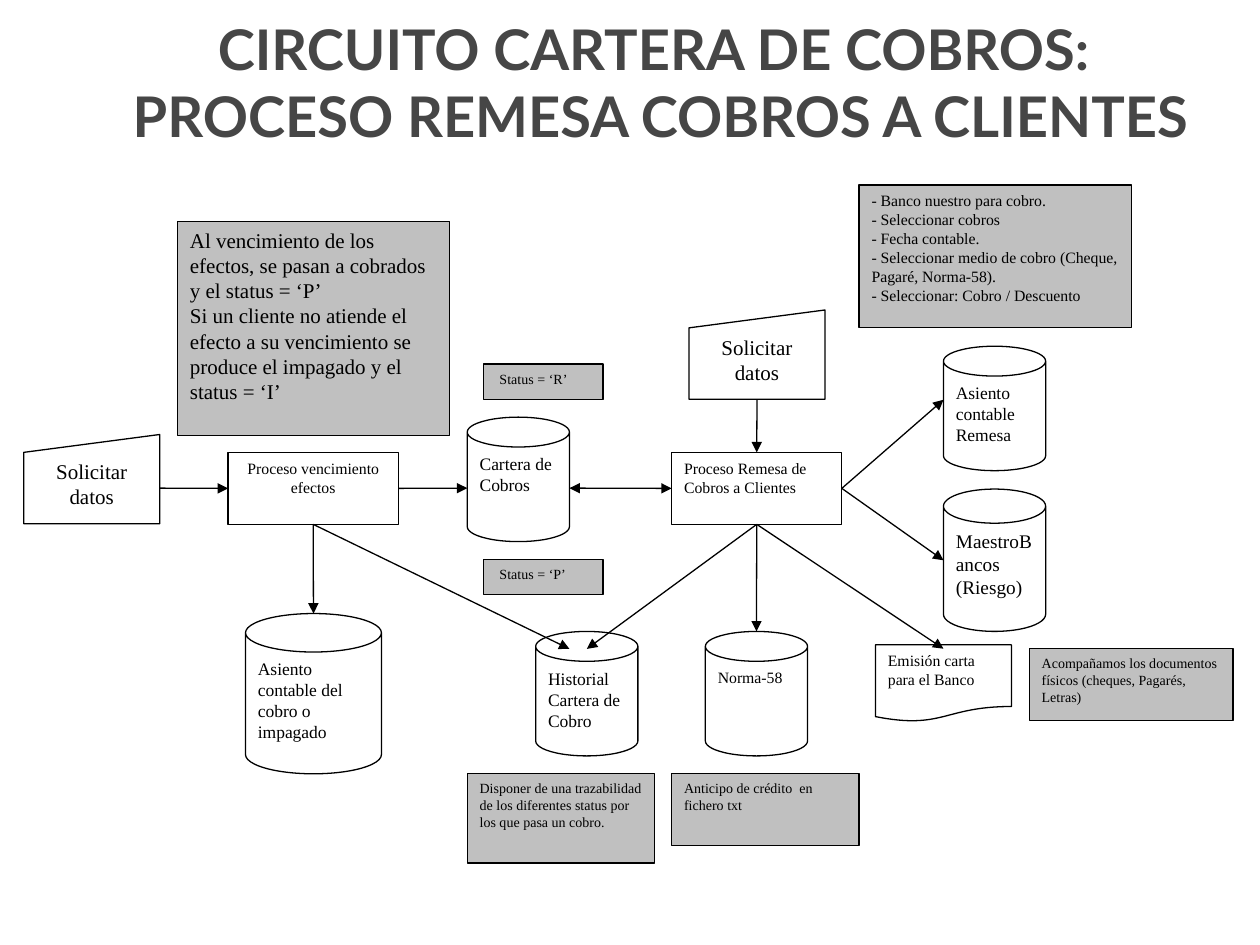
from dataclasses import dataclass

from lxml import etree
from pptx import Presentation
from pptx.dml.color import RGBColor
from pptx.enum.shapes import MSO_CONNECTOR, MSO_SHAPE
from pptx.enum.text import MSO_ANCHOR, PP_ALIGN
from pptx.oxml.ns import qn
from pptx.util import Cm, Pt

CAN = MSO_SHAPE.CAN
DOCUMENT = MSO_SHAPE.FLOWCHART_DOCUMENT
INPUT = MSO_SHAPE.FLOWCHART_MANUAL_INPUT
RECT = MSO_SHAPE.RECTANGLE
STRAIGHT = MSO_CONNECTOR.STRAIGHT
LEFT, CENTER = PP_ALIGN.LEFT, PP_ALIGN.CENTER
TOP, MIDDLE = MSO_ANCHOR.TOP, MSO_ANCHOR.MIDDLE
TOP_SITE, LEFT_SITE, BOTTOM_SITE, RIGHT_SITE = range(4)


@dataclass(frozen=True)
class Theme:
    title_font: str = "Lato"
    body_font: str = "Times New Roman"
    title_color: RGBColor = RGBColor(0x46, 0x46, 0x46)
    ink: RGBColor = RGBColor(0, 0, 0)
    paper: RGBColor = RGBColor(255, 255, 255)
    note: RGBColor = RGBColor(0xC0, 0xC0, 0xC0)
    title: Pt = Pt(32)
    large: Pt = Pt(12)
    bank: Pt = Pt(11)
    record: Pt = Pt(10)
    step: Pt = Pt(9)
    remark: Pt = Pt(8)
    line: Pt = Pt(0.75)


THEME = Theme()
STEP_SIZE = (3.43, 1.45)
INPUT_SIZE = (2.74, 1.8)
CAN_SIZE = (2.06, 2.51)
STATUS_SIZE = (2.41, 0.71)
GUIDE_WIDTH = 5.49
REMARK_WIDTH = 3.78
CAN_LID = 0.24


def style_text(frame, text, font, size, color, align, bold=False):
    frame.text = text
    for paragraph in frame.paragraphs:
        paragraph.alignment = align
        for run in paragraph.runs:
            run.font.name = font
            run.font.size = size
            run.font.bold = bold
            run.font.color.rgb = color


def add_block(slide, kind, box, offset, size, text, type_size, fill=THEME.paper, align=LEFT):
    left, top = (start + shift for start, shift in zip(box, offset))
    width, height = size
    block = slide.shapes.add_shape(kind, Cm(left), Cm(top), Cm(width), Cm(height))
    if kind == CAN:
        block.adjustments[0] = CAN_LID * height / width
    block.shadow.inherit = False
    block.fill.solid()
    block.fill.fore_color.rgb = fill
    block.line.color.rgb = THEME.ink
    block.line.width = THEME.line
    block.text_frame.word_wrap = True
    block.text_frame.vertical_anchor = TOP
    style_text(block.text_frame, text, THEME.body_font, type_size, THEME.ink, align)
    return block


def add_note(slide, box, offset, size, text, type_size=THEME.remark):
    return add_block(slide, RECT, box, offset, size, text, type_size, THEME.note)


def add_input(slide, box, offset):
    return add_block(slide, INPUT, box, offset, INPUT_SIZE, "Solicitar datos",
                     THEME.large, align=CENTER)


def point_on(block, across, down):
    return int(block.left + across * block.width), int(block.top + down * block.height)


def add_link(slide, process, site, point, inbound=False, both=False):
    link = slide.shapes.add_connector(STRAIGHT, *point, *point)
    if inbound:
        link.end_connect(process, site)
    else:
        link.begin_connect(process, site)
    link.line.color.rgb = THEME.ink
    link.line.width = THEME.line
    outline = link.line._get_or_add_ln()
    for end in ("a:headEnd", "a:tailEnd") if both else ("a:tailEnd",):
        etree.SubElement(outline, qn(end), type="triangle")
    etree.SubElement(link._element.spPr, qn("a:effectLst"))


def draw_title(slide, box):
    title = slide.shapes.title
    title.left, title.top, title.width, title.height = map(Cm, box)
    title.text_frame.word_wrap = True
    title.text_frame.vertical_anchor = MIDDLE
    style_text(title.text_frame,
               "CIRCUITO CARTERA DE COBROS: \nPROCESO REMESA COBROS A CLIENTES",
               THEME.title_font, THEME.title, THEME.title_color, CENTER, bold=True)
    for paragraph in title.text_frame.paragraphs:
        properties = paragraph._p.get_or_add_pPr()
        properties.set("marL", "0")
        properties.set("indent", str(Cm(1.24)))


def draw_maturity(slide, box):
    add_note(slide, box, (3.1, 0), (GUIDE_WIDTH, 4.32),
             "Al vencimiento de los efectos, se pasan a cobrados y el status = ‘P’\n"
             "Si un cliente no atiende el efecto a su vencimiento se\n"
             "produce el impagado y el status = ‘I’", THEME.large)
    request = add_input(slide, box, (0, 4.3))
    process = add_block(slide, RECT, box, (4.12, 4.66), STEP_SIZE,
                        "Proceso vencimiento efectos", THEME.step, align=CENTER)
    entry = add_block(slide, CAN, box, (4.47, 7.91), (2.74, 3.23),
                      "Asiento contable del cobro o impagado", THEME.record)
    add_link(slide, process, LEFT_SITE, point_on(request, 1, 0.6), inbound=True)
    add_link(slide, process, BOTTOM_SITE, point_on(entry, 0.5, 0))
    return process


def draw_portfolio(slide, box):
    for top, status in ((0, "R"), (3.94, "P")):
        add_note(slide, box, (0.33, top), STATUS_SIZE, f" Status = ‘{status}’")
    portfolio = add_block(slide, CAN, box, (0, 1.07), CAN_SIZE,
                          "Cartera de Cobros", THEME.record)
    history = add_block(slide, CAN, box, (1.38, 5.39), CAN_SIZE,
                        "Historial Cartera de Cobro", THEME.record)
    add_note(slide, box, (0, 8.26), (REMARK_WIDTH, 1.8),
             "Disponer de una trazabilidad de los diferentes status por los que pasa un cobro.")
    return portfolio, history


def draw_remittance(slide, box):
    request = add_input(slide, box, (0.35, 0))
    process = add_block(slide, RECT, box, (0, 2.87), STEP_SIZE,
                        "Proceso Remesa de Cobros a Clientes", THEME.step)
    bank_file = add_block(slide, CAN, box, (0.68, 6.48), CAN_SIZE, "Norma-58", THEME.step)
    add_note(slide, box, (0, 9.35), (REMARK_WIDTH, 1.45),
             "Anticipo de crédito  en fichero txt")
    add_link(slide, process, TOP_SITE, point_on(request, 0.5, 1), inbound=True)
    add_link(slide, process, BOTTOM_SITE, point_on(bank_file, 0.5, 0))
    return process


def draw_outcomes(slide, box):
    add_note(slide, box, (0, 0), (GUIDE_WIDTH, 2.87),
             "- Banco nuestro para cobro.\n- Seleccionar cobros\n- Fecha contable.\n"
             "- Seleccionar medio de cobro (Cheque, Pagaré, Norma-58).\n"
             "- Seleccionar: Cobro / Descuento", THEME.step)
    entry = add_block(slide, CAN, box, (1.7, 3.25), CAN_SIZE,
                      "Asiento contable\nRemesa", THEME.record)
    banks = add_block(slide, CAN, box, (1.7, 6.13), (2.06, 2.87),
                      "MaestroBancos\n(Riesgo)", THEME.bank)
    letter = add_block(slide, DOCUMENT, box, (0.33, 9.27), (2.74, 1.55),
                       "Emisión carta para el Banco", THEME.step)
    add_note(slide, box, (3.43, 9.35), (4.11, 1.45),
             "Acompañamos los documentos físicos (cheques, Pagarés, Letras)")
    return entry, banks, letter


def draw_crossings(slide, maturity, remittance, portfolio, history, entry, banks, letter):
    add_link(slide, maturity, RIGHT_SITE, point_on(portfolio, 0, 0.57))
    add_link(slide, maturity, BOTTOM_SITE, point_on(history, 0.33, 0.14))
    add_link(slide, remittance, LEFT_SITE, point_on(portfolio, 1, 0.57), inbound=True, both=True)
    add_link(slide, remittance, BOTTOM_SITE, point_on(history, 0.5, 0.14))
    add_link(slide, remittance, BOTTOM_SITE, point_on(letter, 0.5, 0.05))
    add_link(slide, remittance, RIGHT_SITE, point_on(entry, 0, 0.43))
    add_link(slide, remittance, RIGHT_SITE, point_on(banks, 0, 0.5))


def main():
    deck = Presentation()
    deck.slide_width, deck.slide_height = Cm(25.4), Cm(19.05)
    slide = deck.slides.add_slide(deck.slide_layouts[5])
    draw_title(slide, (0, 0.15, 25.4, 3))
    maturity = draw_maturity(slide, (0.48, 4.46))
    portfolio, history = draw_portfolio(slide, (9.42, 7.34))
    remittance = draw_remittance(slide, (13.54, 6.25))
    outcomes = draw_outcomes(slide, (17.32, 3.73))
    draw_crossings(slide, maturity, remittance, portfolio, history, *outcomes)
    deck.save("out.pptx")


if __name__ == "__main__":
    main()
